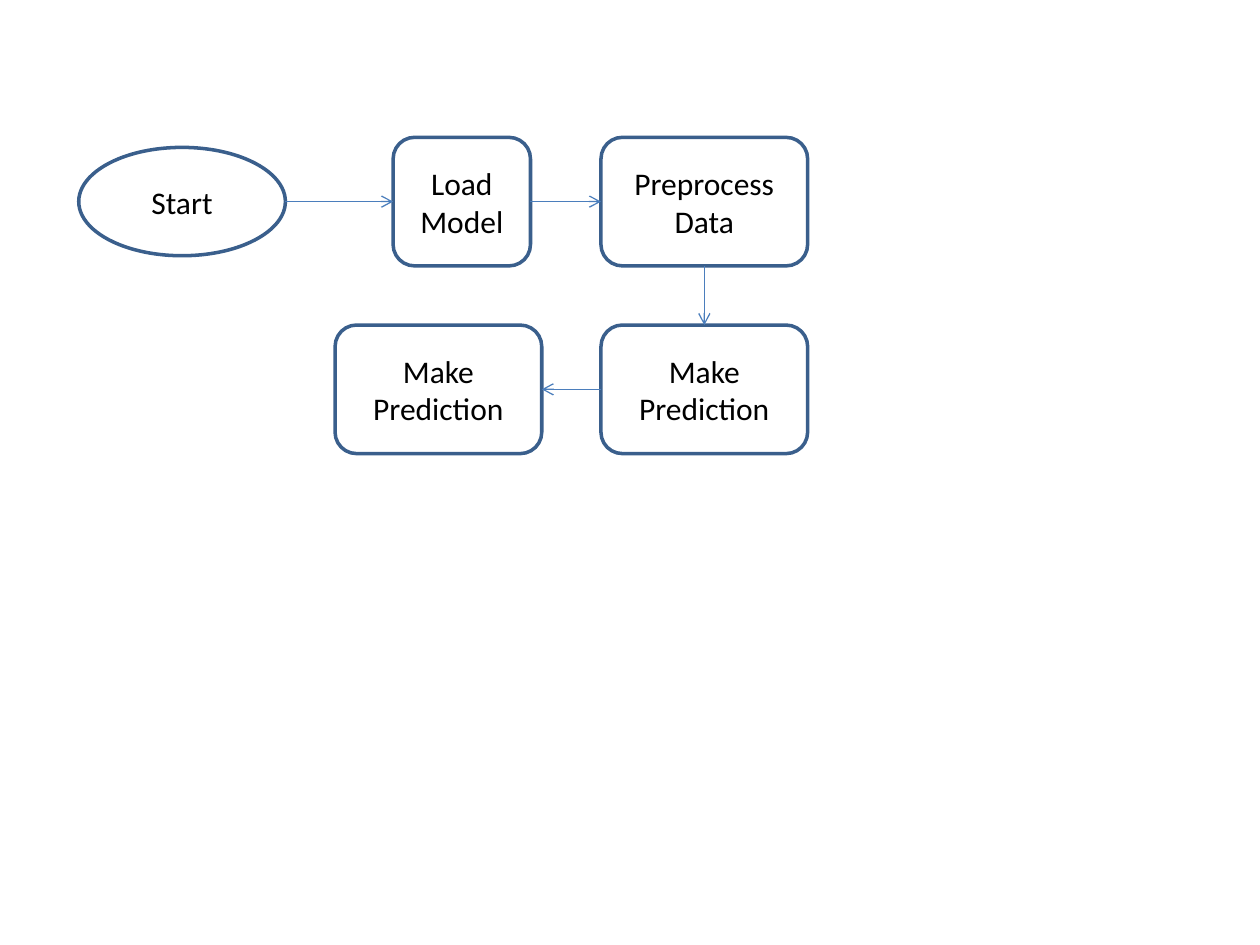
from pptx import Presentation
from pptx.dml.color import RGBColor
from pptx.enum.shapes import MSO_CONNECTOR, MSO_SHAPE
from pptx.enum.text import MSO_ANCHOR, PP_ALIGN
from pptx.oxml.ns import qn
from pptx.util import Inches, Pt
from lxml.etree import SubElement

WHITE = RGBColor(0xFF, 0xFF, 0xFF)
BLACK = RGBColor(0, 0, 0)
OUTLINE = RGBColor(0x3A, 0x5F, 0x8C)
ARROW = RGBColor(0x4B, 0x7E, 0xBC)

COLS, ROWS = 100, 75
STEP_W, STEP_H = 16.4, 10.2
UPPER, LOWER = 10.9, 25.8
RIGHT_COL = 47.7
TOP, LEFT, BOTTOM, RIGHT = range(4)


def add_step(s, cell, kind, box, text):
    x, y, w, h = (round(v * cell) for v in box)
    sp = s.shapes.add_shape(kind, x, y, w, h)
    sp.shadow.inherit = False
    sp.fill.solid()
    sp.fill.fore_color.rgb = WHITE
    sp.line.color.rgb = OUTLINE
    sp.line.width = Pt(2)
    tf = sp.text_frame
    tf.word_wrap = True
    tf.vertical_anchor = MSO_ANCHOR.MIDDLE
    p = tf.paragraphs[0]
    p.alignment = PP_ALIGN.CENTER
    r = p.add_run()
    r.text = text
    r.font.name = "Calibri"
    r.font.size = Pt(18)
    r.font.color.rgb = BLACK
    return sp


def edge_point(sp, side):
    across = {LEFT: 0, RIGHT: sp.width}.get(side, sp.width // 2)
    down = {TOP: 0, BOTTOM: sp.height}.get(side, sp.height // 2)
    return sp.left + across, sp.top + down


def add_arrow(s, start, start_side, end, end_side):
    cx = s.shapes.add_connector(
        MSO_CONNECTOR.STRAIGHT,
        *edge_point(start, start_side),
        *edge_point(end, end_side),
    )
    if start.auto_shape_type != MSO_SHAPE.OVAL:
        cx.begin_connect(start, start_side)
    cx.end_connect(end, end_side)
    cx.line.color.rgb = ARROW
    cx.line.width = Pt(0.75)
    SubElement(cx.line._get_or_add_ln(), qn("a:tailEnd"), type="arrow")
    SubElement(cx._element.spPr, qn("a:effectLst"))


def add_flow(s, cell):
    oval, rounded = MSO_SHAPE.OVAL, MSO_SHAPE.ROUNDED_RECTANGLE
    start_h = 8.6
    start_y = UPPER + (STEP_H - start_h) / 2
    start, load, preprocess, predict, result = [
        add_step(s, cell, kind, box, text)
        for kind, box, text in (
            (oval, (6.25, start_y, STEP_W, start_h), "Start"),
            (rounded, (31.2, UPPER, 10.9, STEP_H), "Load Model"),
            (rounded, (RIGHT_COL, UPPER, STEP_W, STEP_H), "Preprocess Data"),
            (rounded, (RIGHT_COL, LOWER, STEP_W, STEP_H), "Make Prediction"),
            (rounded, (26.6, LOWER, STEP_W, STEP_H), "Make Prediction"),
        )
    ]
    add_arrow(s, start, RIGHT, load, LEFT)
    add_arrow(s, load, RIGHT, preprocess, LEFT)
    add_arrow(s, preprocess, BOTTOM, predict, TOP)
    add_arrow(s, predict, LEFT, result, RIGHT)


def main():
    prs = Presentation()
    prs.slide_width, prs.slide_height = Inches(10), Inches(7.5)
    s = prs.slides.add_slide(prs.slide_layouts[6])
    s.background.fill.solid()
    s.background.fill.fore_color.rgb = WHITE
    add_flow(s, min(prs.slide_width / COLS, prs.slide_height / ROWS))
    prs.save("out.pptx")


if __name__ == "__main__":
    main()
